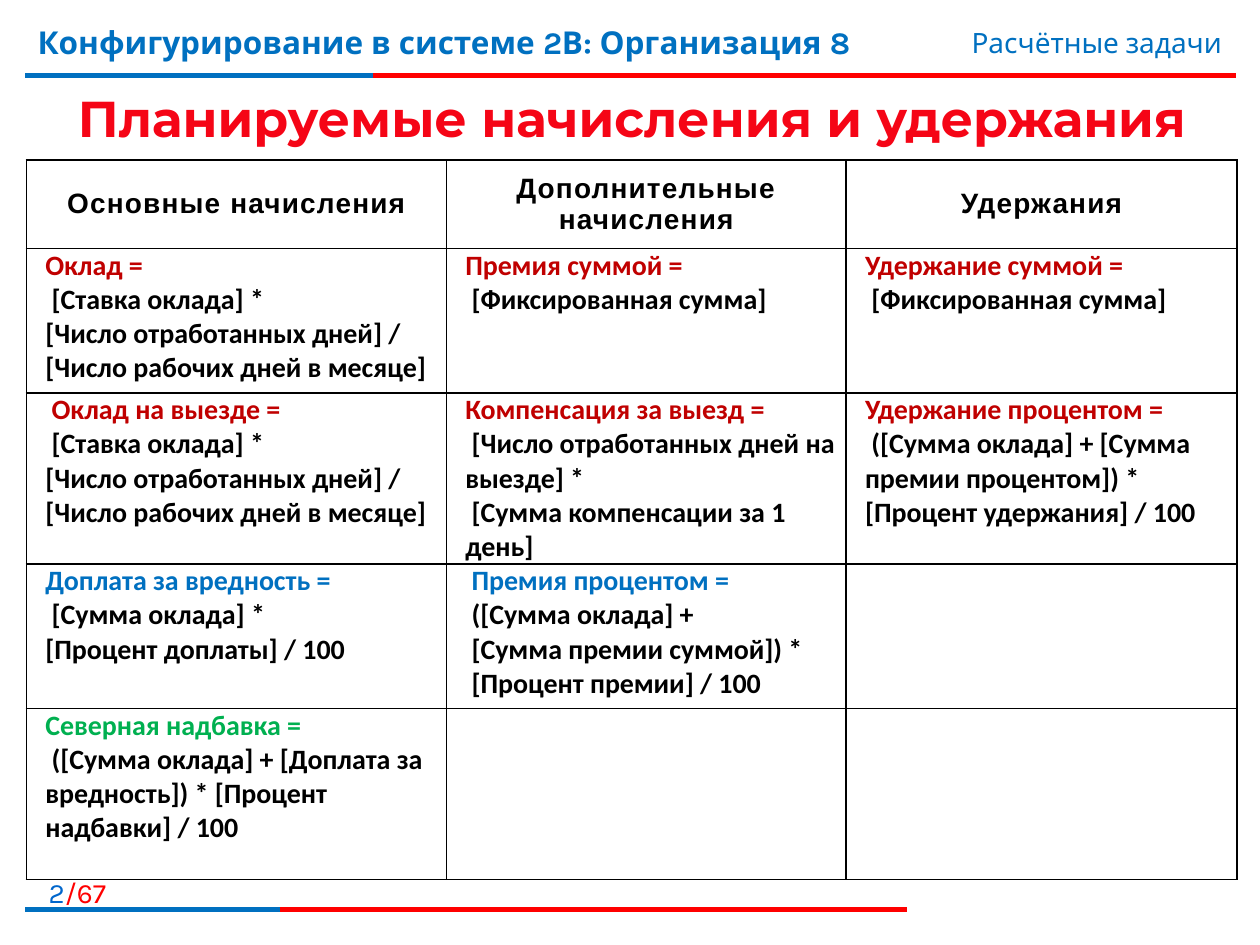
from lxml.etree import SubElement
from pptx import Presentation
from pptx.dml.color import RGBColor
from pptx.enum.shapes import MSO_CONNECTOR
from pptx.enum.text import MSO_ANCHOR, PP_ALIGN
from pptx.oxml.ns import qn
from pptx.util import Pt

COLORS = {
    "blue": "0070C0", "number": "0066CC", "red": "FF0000", "title": "F50516",
    "dark_red": "C00000", "green": "00B050", "black": "000000",
}
TITLE = "Планируемые начисления и удержания"
LABELS = [
    ((0, 496.8, 67.7, 23), PP_ALIGN.RIGHT, 16, False, [("2", "number"), ("/67", "red")]),
    ((14.4, 9.4, 532.8, 44.6), PP_ALIGN.LEFT, 18, True,
     [("Конфигурирование в системе 2В: Организация 8", "blue")]),
    ((427.7, 10.8, 277.9, 26.6), PP_ALIGN.RIGHT, 16, False, [("Расчётные задачи", "blue")]),
]
RULES = [
    (14.4, 706.3, 43.2, "red"), (14.4, 213.1, 43.2, "blue"),
    (14.4, 518.4, 519.8, "red"), (14.4, 159.8, 519.8, "blue"),
]
HEADERS = ["Основные начисления", "Дополнительные начисления", "Удержания"]
INDENT = 3.6
DAYS = "[Число отработанных дней] / [Число рабочих дней в месяце]"
FORMULAS = [
    [
        ("dark_red", [("Оклад =", 0), ("[Ставка оклада] *", INDENT), (DAYS, 0)]),
        ("dark_red", [("Премия суммой =", 0), ("[Фиксированная сумма]", INDENT)]),
        ("dark_red", [("Удержание суммой =", 0), ("[Фиксированная сумма]", INDENT)]),
    ],
    [
        ("dark_red", [("Оклад на выезде =", INDENT), ("[Ставка оклада] *", INDENT), (DAYS, 0)]),
        ("dark_red", [("Компенсация за выезд =", 0),
                      ("[Число отработанных дней на выезде] *", INDENT),
                      ("[Сумма компенсации за 1 день]", INDENT)]),
        ("dark_red", [("Удержание процентом =", 0),
                      ("([Сумма оклада] + [Сумма премии процентом]) *", INDENT),
                      ("[Процент удержания] / 100", 0)]),
    ],
    [
        ("blue", [("Доплата за вредность =", 0), ("[Сумма оклада] *", INDENT),
                  ("[Процент доплаты] / 100", 0)]),
        ("blue", [("Премия процентом =", INDENT), ("([Сумма оклада] +", INDENT),
                  ("[Сумма премии суммой]) *", INDENT), ("[Процент премии] / 100", INDENT)]),
        None,
    ],
    [
        ("green", [("Северная надбавка =", 0),
                   ("([Сумма оклада] + [Доплата за вредность]) * [Процент надбавки] / 100", INDENT)]),
        None,
        None,
    ],
]
COLUMN_WIDTHS = [240, 228.5, 223.2]
ROW_HEIGHTS = [50.6, 82.6, 97.7, 82.6, 97.7]


def style(font, name, size, color, bold):
    font.name, font.size, font.bold = name, Pt(size), bold
    font.color.rgb = RGBColor.from_string(COLORS[color])


def place(shape, left, top, width, height):
    shape.left, shape.top, shape.width, shape.height = Pt(left), Pt(top), Pt(width), Pt(height)


def add_title(slide):
    title = slide.shapes.title
    place(title, 15.1, 45.4, 691.9, 43.2)
    title.text_frame.text = TITLE
    title.text_frame.vertical_anchor = MSO_ANCHOR.MIDDLE
    para = title.text_frame.paragraphs[0]
    para.alignment = PP_ALIGN.CENTER
    font = para.runs[0].font
    style(font, "Montserrat", 28.8, "title", True)
    font.fill.gradient()
    font.fill.gradient_angle = 270
    for stop, position, color in zip(font.fill.gradient_stops, (0.55, 0.86), ("title", "dark_red")):
        stop.position = position
        stop.color.rgb = RGBColor.from_string(COLORS[color])


def add_label(slide, bounds, alignment, size, bold, spans):
    box = slide.shapes.add_textbox(*map(Pt, bounds))
    box.text_frame.word_wrap = True
    para = box.text_frame.paragraphs[0]
    para.alignment = alignment
    for text, color in spans:
        span = para.add_run()
        span.text = text
        style(span.font, "Karla", size, color, bold)


def add_rule(slide, left, right, top, color):
    rule = slide.shapes.add_connector(
        MSO_CONNECTOR.STRAIGHT, Pt(left), Pt(top), Pt(right), Pt(top))
    rule.line.color.rgb = RGBColor.from_string(COLORS[color])
    rule.line.width = Pt(3)
    SubElement(rule._element.spPr, qn("a:effectLst"))


def frame_cell(cell, left_margin):
    properties = cell._tc.get_or_add_tcPr()
    for side in ("a:lnL", "a:lnR", "a:lnT", "a:lnB"):
        border = SubElement(properties, qn(side), w=str(Pt(1)))
        fill = SubElement(border, qn("a:solidFill"))
        SubElement(fill, qn("a:srgbClr"), val=COLORS["black"])
    cell.fill.background()
    cell.margin_left, cell.margin_right = Pt(left_margin), Pt(3.6)
    cell.margin_top = cell.margin_bottom = Pt(0)


def fill_header(cell, text):
    frame_cell(cell, 3.6)
    cell.text_frame.text = text
    cell.vertical_anchor = MSO_ANCHOR.MIDDLE
    para = cell.text_frame.paragraphs[0]
    para.alignment = PP_ALIGN.CENTER
    span = para.runs[0]
    style(span.font, "Arial", 16, "black", True)
    span._r.get_or_add_rPr().set("spc", "70")


def fill_formula(cell, formula):
    frame_cell(cell, 10.8)
    if formula is None:
        return
    name_color, lines = formula
    cell.text_frame.text = "\n".join(text for text, indent in lines)
    for index, (para, (text, indent)) in enumerate(zip(cell.text_frame.paragraphs, lines)):
        properties = para._p.get_or_add_pPr()
        properties.set("marL", "0")
        properties.set("indent", str(Pt(indent)))
        style(para.runs[0].font, "Calibri", 16, "black" if index else name_color, True)


def add_formula_table(slide):
    table = slide.shapes.add_table(
        len(ROW_HEIGHTS), len(COLUMN_WIDTHS), Pt(15.1), Pt(91.4),
        Pt(sum(COLUMN_WIDTHS)), Pt(sum(ROW_HEIGHTS))).table
    table.horz_banding = False
    table.first_row = False
    for column, width in zip(table.columns, COLUMN_WIDTHS):
        column.width = Pt(width)
    for row, height in zip(table.rows, ROW_HEIGHTS):
        row.height = Pt(height)
    for column, text in enumerate(HEADERS):
        fill_header(table.cell(0, column), text)
    for row, formulas in enumerate(FORMULAS, 1):
        for column, formula in enumerate(formulas):
            fill_formula(table.cell(row, column), formula)


def main():
    deck = Presentation()
    deck.slide_width, deck.slide_height = Pt(720), Pt(540)
    slide = deck.slides.add_slide(deck.slide_layouts[5])
    for rule in RULES:
        add_rule(slide, *rule)
    for label in LABELS:
        add_label(slide, *label)
    add_title(slide)
    add_formula_table(slide)
    deck.save("out.pptx")


if __name__ == "__main__":
    main()
